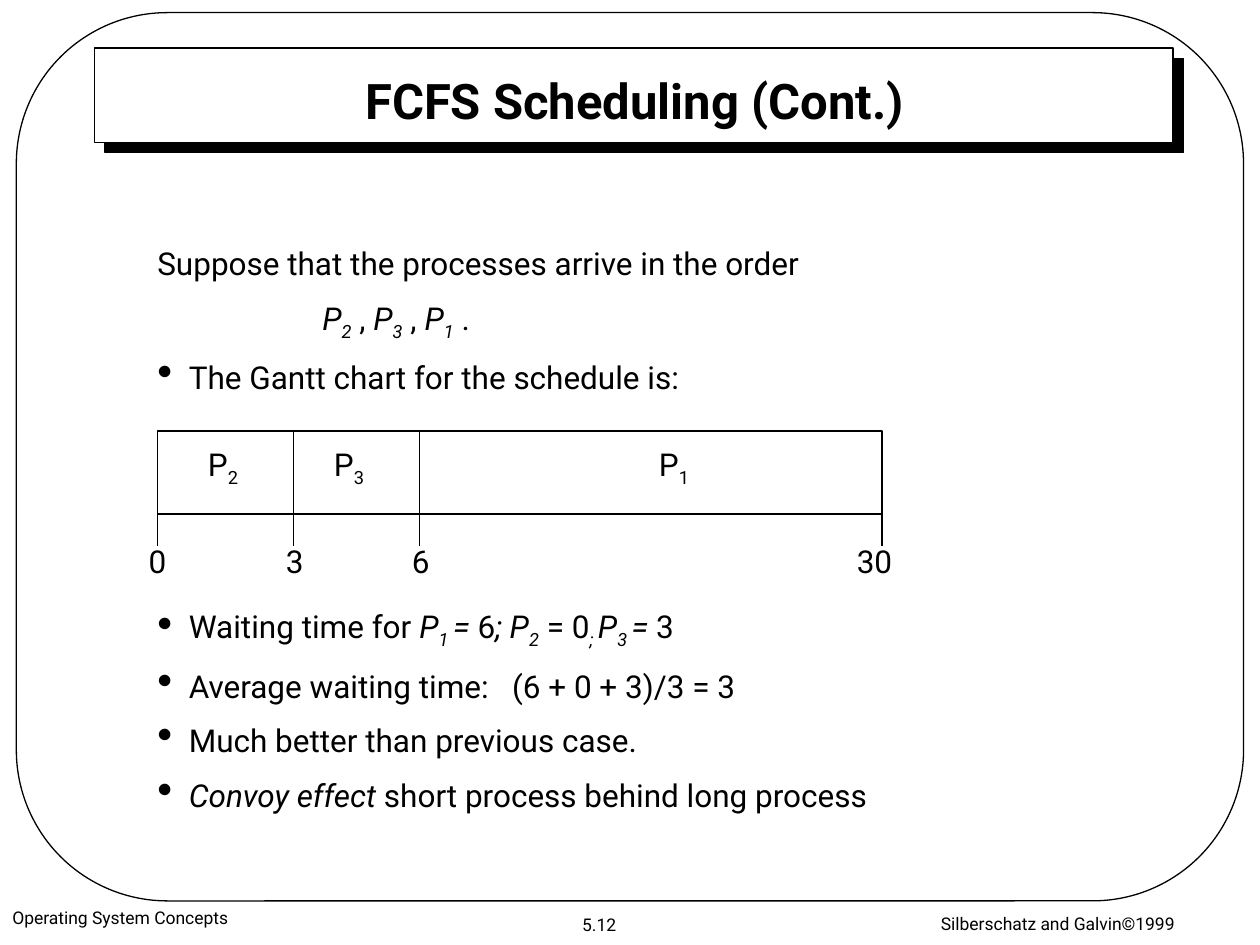
from dataclasses import dataclass
from typing import NamedTuple

from lxml.etree import SubElement as Sub
from pptx import Presentation
from pptx.dml.color import RGBColor as Rgb
from pptx.enum.shapes import MSO_CONNECTOR as Conn, MSO_SHAPE as Kind
from pptx.enum.text import MSO_ANCHOR as Anchor, PP_ALIGN as Align
from pptx.oxml.ns import qn
from pptx.util import Inches, Pt


@dataclass(frozen=True)
class Theme:
    font: str = "Roboto"
    ink: Rgb = Rgb(0, 0, 0)
    paper: Rgb = Rgb(255, 255, 255)
    title: float = 28
    body: float = 18
    foot: float = 10
    gap: float = 9.5
    rule: float = 0.75


class Box(NamedTuple):
    x: float
    y: float
    w: float
    h: float


class Bit(NamedTuple):
    text: str
    ital: bool = False
    sub: bool = False


class Para(NamedTuple):
    bits: list[Bit]
    dot: bool = False
    left: float = 0


class Job(NamedTuple):
    name: str
    x: float  # left edge of the label


class Tick(NamedTuple):
    time: str
    x: float
    mid: float  # centre of the label


T = Theme()


def add_dot(para) -> None:
    props = para._p.get_or_add_pPr()
    props.set("marL", str(Inches(0.25)))
    props.set("indent", str(-Inches(0.25)))
    Sub(props, qn("a:buSzPct"), val="140000")
    Sub(props, qn("a:buChar"), char="•")


def add_text(slide, box: Box, paras: list[Para], size: float, align=Align.LEFT,
             anchor=Anchor.TOP, bold: bool = False, wrap: bool = True) -> None:
    frame = slide.shapes.add_textbox(*map(Inches, box)).text_frame
    frame.word_wrap = wrap
    frame.vertical_anchor = anchor
    for i, item in enumerate(paras):
        para = frame.add_paragraph() if i else frame.paragraphs[0]
        para.alignment = align
        para.space_before = Pt(T.gap if i else 0)
        if item.dot:
            add_dot(para)
        elif item.left:
            para._p.get_or_add_pPr().set("marL", str(Inches(item.left)))
        font = para.font
        font.name, font.size, font.bold = T.font, Pt(size), bold
        font.color.rgb = T.ink
        for bit in item.bits:
            run = para.add_run()
            run.text = bit.text
            if bit.ital:
                run.font.italic = True
            if bit.sub:
                run.font._element.set("baseline", "-25000")


def add_label(slide, box: Box, bits: list[Bit], size: float = T.body) -> None:
    add_text(slide, box, [Para(bits)], size, Align.CENTER, Anchor.MIDDLE, wrap=False)


def add_box(slide, kind: Kind, box: Box, fill: bool = True):
    shape = slide.shapes.add_shape(kind, *map(Inches, box))
    shape.shadow.inherit = False
    if fill:
        shape.fill.solid()
        shape.fill.fore_color.rgb = T.paper
    else:
        shape.fill.background()
    shape.line.color.rgb = T.ink
    shape.line.width = Pt(T.rule)
    return shape


def add_shadow(shape) -> None:
    effects = shape._element.spPr.find(qn("a:effectLst"))
    cast = Sub(effects, qn("a:outerShdw"), dist=str(Pt(8.5)), dir="2700000",
               algn="ctr", rotWithShape="0")
    Sub(cast, qn("a:srgbClr"), val=str(T.ink))


def add_line(slide, x: float, top: float, end: float) -> None:
    line = slide.shapes.add_connector(Conn.STRAIGHT, *map(Inches, (x, top, x, end)))
    line.line.color.rgb = T.ink
    line.line.width = Pt(T.rule)
    Sub(line._element.spPr, qn("a:effectLst"))


def proc(num: str, tail: str = "") -> list[Bit]:
    return [Bit("P", True), Bit(num + tail, True, True)]


def add_gantt(slide, bar: Box, jobs: list[Job], ticks: list[Tick]) -> None:
    add_box(slide, Kind.RECTANGLE, bar)
    base = bar.y + bar.h
    for job in jobs:
        add_label(slide, Box(job.x, 3.5, 0.46, 0.4), [Bit("P"), Bit(job.name, sub=True)])
    for tick in ticks:
        inner = bar.x < tick.x < bar.x + bar.w
        add_line(slide, tick.x, bar.y if inner else base, base + 0.25)
        wide = 0.34 if len(tick.time) == 1 else 0.48
        add_label(slide, Box(tick.mid - wide / 2, 4.25, wide, 0.4), [Bit(tick.time)])


INTRO = [
    Para([Bit("Suppose that the processes arrive in the order")]),
    Para([*proc("2"), Bit(" , "), *proc("3"), Bit(" , "), *proc("1"), Bit(" .")], left=1.31),
    Para([Bit("The Gantt chart for the schedule is:")], dot=True),
]
RESULT = [
    Para([Bit("Waiting time for "), *proc("1", " "), Bit("=", True), Bit(" 6"),
          Bit("; ", True), *proc("2"), Bit(" = 0"), Bit("; ", True, True),
          *proc("3", " "), Bit("= ", True), Bit("3")], dot=True),
    Para([Bit("Average waiting time:   (6 + 0 + 3)/3 = 3")], dot=True),
    Para([Bit("Much better than previous case.")], dot=True),
    Para([Bit("Convoy effect", True), Bit(" short process behind long process")], dot=True),
]
JOBS = [Job("2", 1.54), Job("3", 2.54), Job("1", 5.12)]
TICKS = [Tick("0", 1.25, 1.25), Tick("3", 2.33, 2.34),
         Tick("6", 3.33, 3.34), Tick("30", 7, 6.94)]


def main() -> None:
    deck = Presentation()
    deck.slide_width, deck.slide_height = Inches(10), Inches(7.5)
    slide = deck.slides.add_slide(deck.slide_layouts[6])

    # Title panel and page frame
    add_shadow(add_box(slide, Kind.RECTANGLE, Box(0.75, 0.38, 8.56, 0.75)))
    edge = add_box(slide, Kind.ROUNDED_RECTANGLE, Box(0.13, 0.1, 9.74, 7.05), fill=False)
    edge.adjustments[0] = 0.17
    add_text(slide, Box(1.27, 0.54, 7.53, 0.5), [Para([Bit("FCFS Scheduling (Cont.)")])],
             T.title, Align.CENTER, Anchor.MIDDLE, bold=True)

    # Footer
    add_text(slide, Box(0, 7.15, 3.17, 0.35), [Para([Bit("Operating System Concepts")])], T.foot)
    add_label(slide, Box(4.51, 7.2, 0.49, 0.27), [Bit("5.12")], T.foot)
    add_text(slide, Box(6.81, 7.2, 3.17, 0.3), [Para([Bit("Silberschatz and Galvin©1999")])],
             T.foot, Align.CENTER)

    # Body text above and below the chart
    add_text(slide, Box(1.15, 1.89, 7.69, 1.4), INTRO, T.body)
    add_text(slide, Box(1.15, 4.77, 7.69, 1.8), RESULT, T.body)

    # Gantt chart
    add_gantt(slide, Box(1.25, 3.42, 5.75, 0.66), JOBS, TICKS)
    deck.save("out.pptx")


if __name__ == "__main__":
    main()
